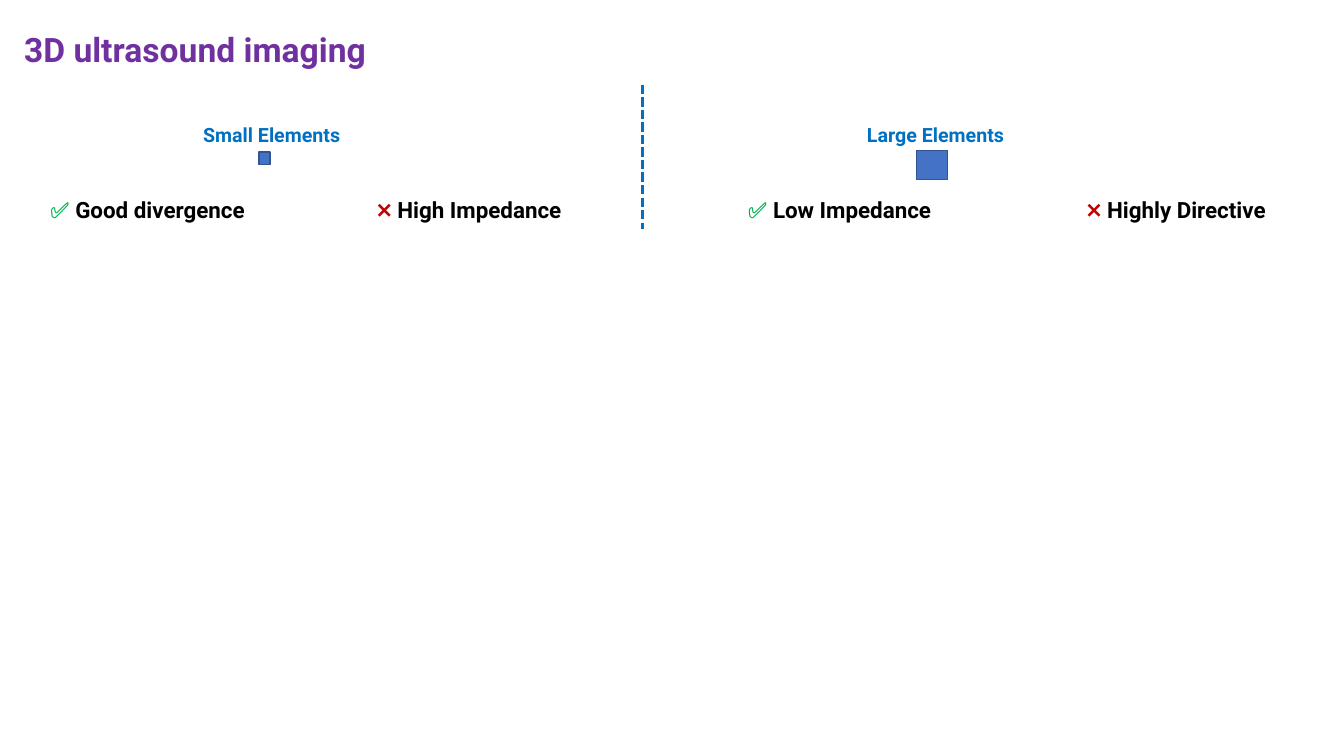
from pptx import Presentation
from pptx.dml.color import RGBColor
from pptx.enum.dml import MSO_LINE
from pptx.enum.shapes import MSO_CONNECTOR, MSO_SHAPE
from pptx.enum.text import MSO_AUTO_SIZE, PP_ALIGN
from pptx.util import Inches, Pt
from lxml.etree import SubElement
from pptx.oxml.ns import qn

FONT = "Roboto"
COLORS = {
    "title": "7030A0",
    "accent": "0070C0",
    "pro": "00B050",
    "con": "C00000",
    "text": "000000",
    "element": "4472C4",
    "outline": "325491",
}


def color(name):
    return RGBColor.from_string(COLORS[name])


def add_label(slide, box, size, runs, align=PP_ALIGN.LEFT):
    label = slide.shapes.add_textbox(*map(Inches, box))
    frame = label.text_frame
    frame.word_wrap = False
    frame.auto_size = MSO_AUTO_SIZE.SHAPE_TO_FIT_TEXT
    paragraph = frame.paragraphs[0]
    paragraph.alignment = align
    for text, color_name, bold in runs:
        run = paragraph.add_run()
        run.text = text
        run.font.name = FONT
        run.font.size = Pt(size)
        run.font.bold = bold
        run.font.color.rgb = color(color_name)


def add_heading(slide, left, width, text):
    add_label(slide, (left, 1.17, width, 0.34), 14,
              [(text, "accent", True)], PP_ALIGN.CENTER)


def add_pro(slide, left, width, text):
    add_label(slide, (left, 1.9, width, 0.37), 16,
              [("✅ ", "pro", True), (text, "text", True)])


def add_con(slide, left, width, text):
    add_label(slide, (left, 1.9, width, 0.37), 16,
              [("❌ ", "con", False), (text, "text", True)])


def add_element(slide, box):
    element = slide.shapes.add_shape(MSO_SHAPE.RECTANGLE, *map(Inches, box))
    element.shadow.inherit = False
    element.fill.solid()
    element.fill.fore_color.rgb = color("element")
    element.line.color.rgb = color("outline")
    element.line.width = Pt(1)


def add_divider(slide, x, top, bottom):
    divider = slide.shapes.add_connector(
        MSO_CONNECTOR.STRAIGHT, Inches(x), Inches(top), Inches(x), Inches(bottom))
    divider.line.color.rgb = color("accent")
    divider.line.width = Pt(2.25)
    divider.line.dash_style = MSO_LINE.SQUARE_DOT
    SubElement(divider._element.spPr, qn("a:effectLst"))


def main():
    deck = Presentation()
    deck.slide_width = Inches(13.33)
    deck.slide_height = Inches(7.5)
    slide = deck.slides.add_slide(deck.slide_layouts[6])

    add_label(slide, (0.14, 0.24, 3.94, 0.5), 24,
              [("3D ultrasound imaging", "title", True)])

    add_heading(slide, 1.87, 1.65, "Small Elements")
    add_heading(slide, 8.45, 1.66, "Large Elements")

    add_pro(slide, 0.4, 2.4, "Good divergence")
    add_con(slide, 3.64, 2.31, "High Impedance")
    add_pro(slide, 7.32, 2.25, "Low Impedance")
    add_con(slide, 10.68, 2.27, "Highly Directive")

    add_element(slide, (2.57, 1.51, 0.11, 0.12))
    add_element(slide, (9.09, 1.49, 0.31, 0.29))
    add_divider(slide, 6.37, 0.84, 2.27)

    deck.save("out.pptx")


if __name__ == "__main__":
    main()
